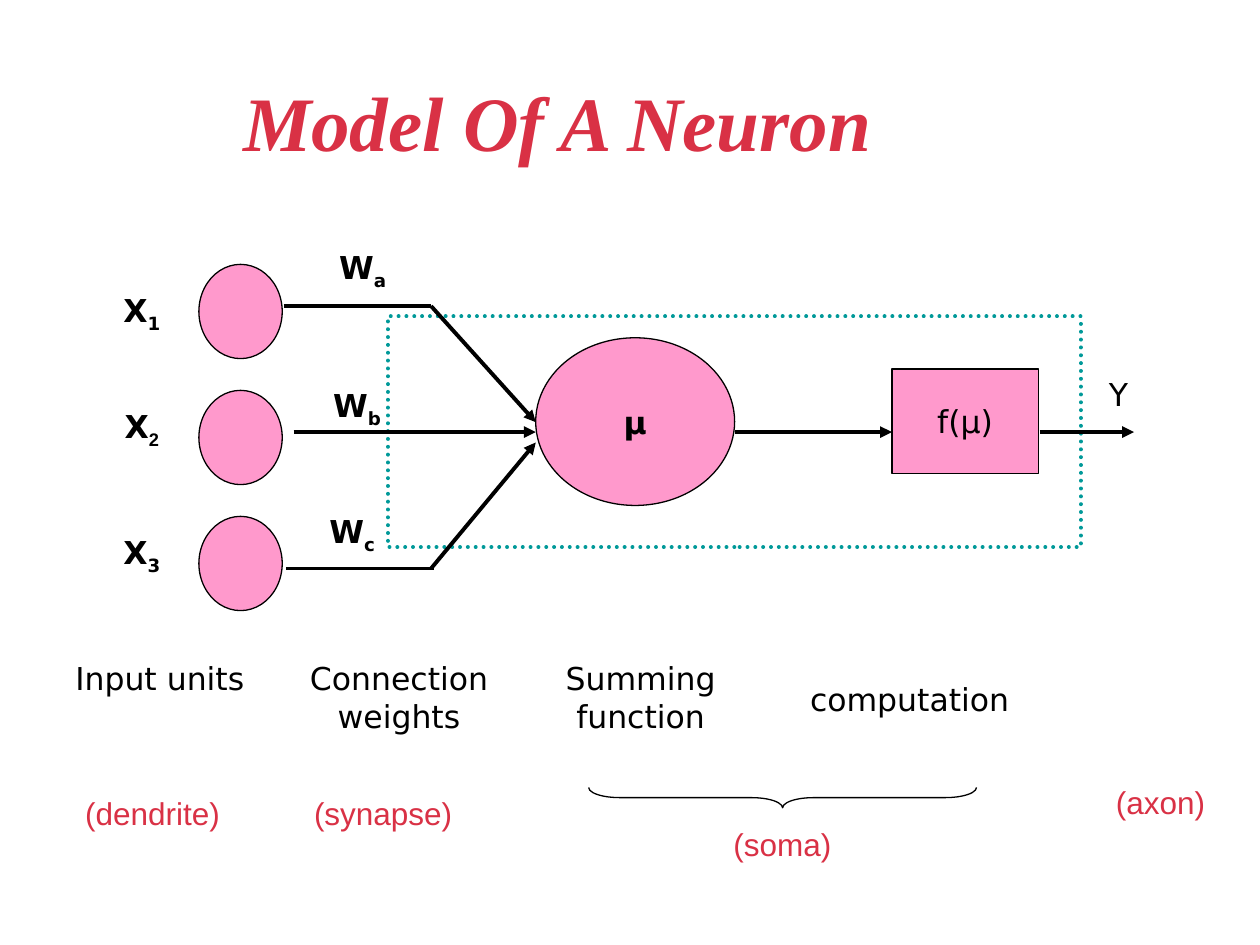
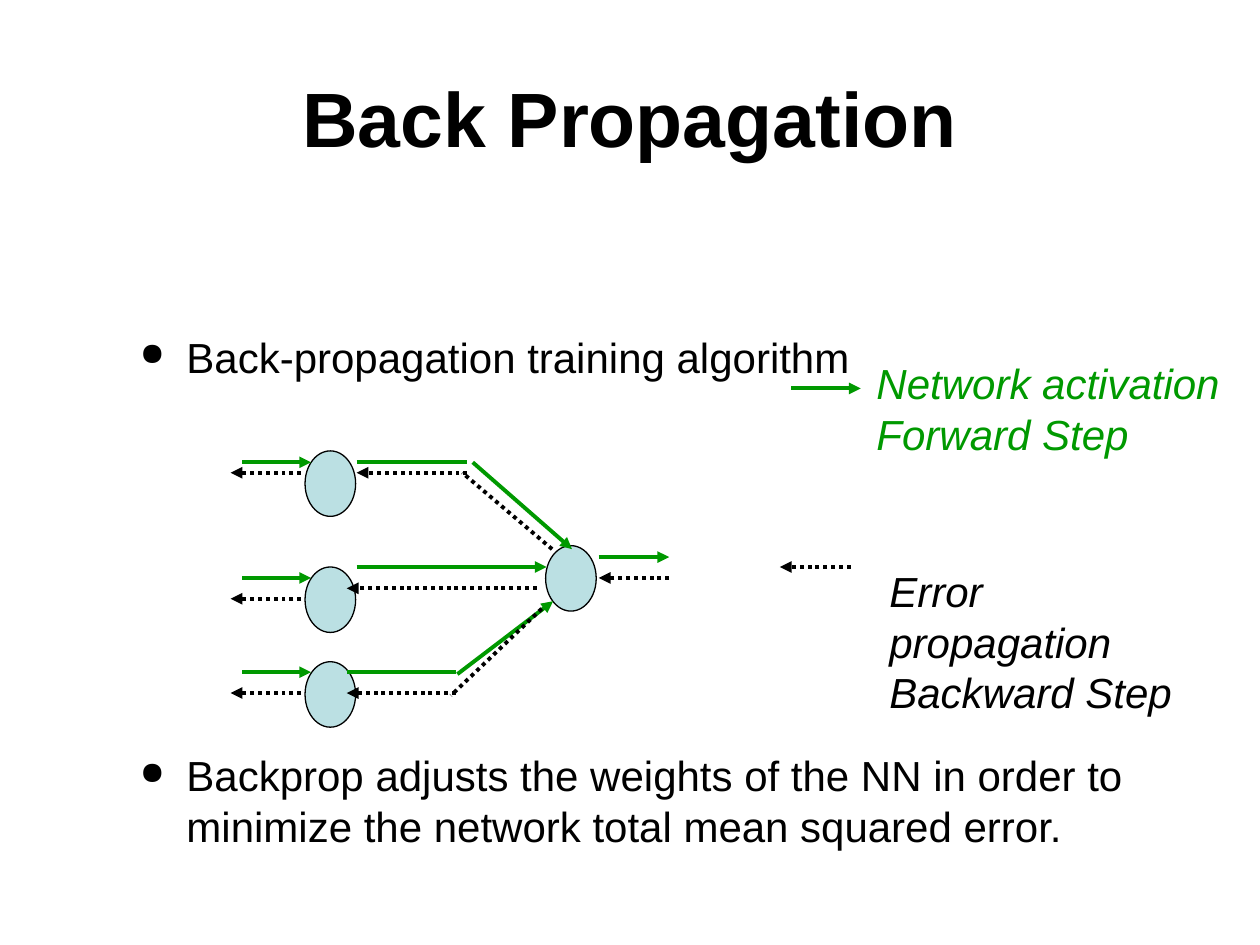
from dataclasses import dataclass

from lxml.etree import SubElement
from pptx import Presentation
from pptx.dml.color import RGBColor
from pptx.enum.dml import MSO_LINE
from pptx.enum.shapes import MSO_CONNECTOR, MSO_SHAPE
from pptx.enum.text import MSO_ANCHOR, PP_ALIGN
from pptx.oxml.ns import qn
from pptx.util import Cm, Pt


@dataclass(frozen=True)
class Theme:
    black: str = "000000"
    red: str = "D93145"
    pink: str = "FF99CC"
    teal: str = "009999"
    green: str = "009900"
    pale_blue: str = "BBE0E3"
    sans: str = "Arial"
    diagram: str = "DejaVu Sans"
    serif: str = "Times New Roman"
    title_size: float = 44
    body_size: float = 24
    label_size: float = 18
    body_leading: float = 28.8
    thin: float = 0.75
    thick: float = 2.25


THEME = Theme()


@dataclass(frozen=True)
class Box:
    """Left, top, width and height in centimetres."""
    left: float
    top: float
    width: float
    height: float

    def lengths(self) -> tuple:
        return tuple(Cm(v) for v in (self.left, self.top, self.width, self.height))


@dataclass(frozen=True)
class Style:
    size: float = THEME.label_size
    font: str = THEME.diagram
    color: str = THEME.black
    bold: bool = False
    italic: bool = False


@dataclass(frozen=True)
class Label:
    box: Box
    text: str
    style: Style = Style()
    subscript: str = ""
    subscript_font: str = THEME.diagram
    align: PP_ALIGN = PP_ALIGN.CENTER


@dataclass(frozen=True)
class Node:
    box: Box
    preset: MSO_SHAPE = MSO_SHAPE.OVAL
    fill: str | None = THEME.pink
    outline: str = THEME.black
    weight: float = THEME.thin
    text: str = ""
    bold: bool = False


@dataclass(frozen=True)
class Link:
    x1: float
    y1: float
    x2: float
    y2: float
    color: str = THEME.black
    arrow: bool = True
    dotted: bool = False


BOLD = Style(bold=True)
BIOLOGY = Style(font=THEME.sans, color=THEME.red)
BODY = Style(THEME.body_size, THEME.sans)


# Shared drawing functions
def apply(target, formats: dict) -> None:
    for name, value in formats.items():
        setattr(target, name, value)


def add_run(paragraph, text: str, style: Style):
    run = paragraph.add_run()
    run.text = text
    apply(run.font, {"size": Pt(style.size), "name": style.font,
                     "bold": style.bold, "italic": style.italic})
    run.font.color.rgb = RGBColor.from_string(style.color)
    return run


def add_frame(slide, box: Box, anchor: MSO_ANCHOR = MSO_ANCHOR.TOP):
    frame = slide.shapes.add_textbox(*box.lengths()).text_frame
    apply(frame, {"word_wrap": True, "vertical_anchor": anchor})
    return frame


def add_title(slide, box: Box, text: str, style: Style, align: PP_ALIGN) -> None:
    paragraph = add_frame(slide, box, MSO_ANCHOR.MIDDLE).paragraphs[0]
    paragraph.alignment = align
    add_run(paragraph, text, style)


def add_label(slide, label: Label) -> None:
    paragraph = add_frame(slide, label.box).paragraphs[0]
    apply(paragraph, {"alignment": label.align, "space_before": Pt(6)})
    add_run(paragraph, label.text, label.style)
    if label.subscript:
        lowered = add_run(paragraph, label.subscript, label.style)
        lowered.font.name = label.subscript_font
        lowered.font._element.set("baseline", "-25000")


def add_lines(slide, box: Box, lines: list[str], style: Style) -> None:
    frame = add_frame(slide, box)
    for index, line in enumerate(lines):
        paragraph = frame.add_paragraph() if index else frame.paragraphs[0]
        paragraph.line_spacing = Pt(THEME.body_leading)
        add_run(paragraph, line, style)


def add_node(slide, node: Node):
    shape = slide.shapes.add_shape(node.preset, *node.box.lengths())
    shape.shadow.inherit = False
    if node.fill:
        shape.fill.solid()
        shape.fill.fore_color.rgb = RGBColor.from_string(node.fill)
    else:
        shape.fill.background()
    shape.line.color.rgb = RGBColor.from_string(node.outline)
    shape.line.width = Pt(node.weight)
    if node.text:
        apply(shape.text_frame, {"word_wrap": False, "vertical_anchor": MSO_ANCHOR.MIDDLE})
        paragraph = shape.text_frame.paragraphs[0]
        paragraph.alignment = PP_ALIGN.CENTER
        add_run(paragraph, node.text, Style(bold=node.bold))
    return shape


def add_link(slide, link: Link) -> None:
    ends = (Cm(v) for v in (link.x1, link.y1, link.x2, link.y2))
    connector = slide.shapes.add_connector(MSO_CONNECTOR.STRAIGHT, *ends)
    connector.line.color.rgb = RGBColor.from_string(link.color)
    connector.line.width = Pt(THEME.thick)
    if link.dotted:
        connector.line.dash_style = MSO_LINE.ROUND_DOT
    properties = connector._element.spPr
    if link.arrow:
        SubElement(properties.find(qn("a:ln")), qn("a:tailEnd"), type="triangle")
    SubElement(properties, qn("a:effectLst"))


def add_bullet(paragraph, text: str, gap: float) -> None:
    apply(paragraph, {"space_before": Pt(gap), "line_spacing": Pt(THEME.body_leading)})
    properties = paragraph._p.get_or_add_pPr()
    properties.set("marL", str(Cm(0.97)))
    properties.set("indent", str(Cm(-0.94)))
    color = SubElement(properties, qn("a:buClr"))
    SubElement(color, qn("a:srgbClr"), val=THEME.black)
    SubElement(properties, qn("a:buSzPct"), val="75000")
    SubElement(properties, qn("a:buChar"), char="●")
    add_run(paragraph, text, BODY)


def build_neuron(slide) -> None:
    add_title(slide, Box(4.65, 0.84, 22.86, 3.18), "Model Of A Neuron",
              Style(THEME.title_size, THEME.serif, THEME.red, True, True), PP_ALIGN.LEFT)

    # Input units, summing unit, activation and soma frame
    for row in range(3):
        add_node(slide, Node(Box(4.01, 5.33 + 2.54 * row, 1.68, 1.9)))
    add_node(slide, Node(Box(10.8, 6.81, 4.01, 3.38), text="μ", bold=True))
    add_node(slide, Node(Box(17.98, 7.44, 2.95, 2.11), MSO_SHAPE.RECTANGLE, text="f(μ)"))
    soma = add_node(slide, Node(Box(7.82, 6.38, 13.97, 4.65), MSO_SHAPE.RECTANGLE,
                                None, THEME.teal, THEME.thick))
    soma.line.dash_style = MSO_LINE.ROUND_DOT
    soma._element.spPr.find(qn("a:ln")).set("cap", "rnd")

    # Signal paths
    axis = 8.71
    for link in (
        Link(5.92, axis, 10.8, axis),
        Link(14.81, axis, 17.98, axis),
        Link(5.72, 6.17, 8.69, 6.17, arrow=False),
        Link(5.77, 11.46, 8.74, 11.46, arrow=False),
        Link(8.69, 11.46, 10.8, 8.92),
        Link(8.69, 6.17, 10.8, 8.51),
        Link(20.96, axis, 22.86, axis),
    ):
        add_link(slide, link)

    # Signal names, captions and biological counterparts
    weights = (("a", 5.72, 4.88), ("b", 5.61, 7.65), ("c", 5.51, 10.19))
    inputs = (("1", 5.74, THEME.diagram), ("2", 8.08, THEME.sans), ("3", 10.62, THEME.diagram))
    biology = (("(dendrite)", 1.07, 15.88), ("(synapse)", 5.72, 15.88),
               ("(axon)", 21.39, 15.67), ("(soma)", 13.77, 16.51))
    labels = [
        Label(Box(20.96, 7.44, 3.18, 1.02), "Y"),
        *(Label(Box(left, top, 3.18, 1.12), "W", BOLD, index) for index, left, top in weights),
        *(Label(Box(1.27, top, 3.18, 1.12), "X", BOLD, index, font)
          for index, top, font in inputs),
        Label(Box(1.27, 13.16, 4.65, 1.02), "Input units", align=PP_ALIGN.LEFT),
        Label(Box(5.72, 13.16, 4.65, 1.78), "Connection weights"),
        Label(Box(10.59, 13.16, 4.65, 1.78), "Summing function"),
        Label(Box(16.08, 13.59, 5.08, 1.02), "computation", align=PP_ALIGN.LEFT),
        *(Label(Box(left, top, 4.01, 1.02), text, BIOLOGY) for text, left, top in biology),
    ]
    for label in labels:
        add_label(slide, label)

    # Brace over the soma
    brace = add_node(slide, Node(Box(15.57, 12.17, 0.41, 7.82), MSO_SHAPE.RIGHT_BRACE, None))
    brace.rotation = 90
    brace.adjustments[0] = 1.54


def build_back_propagation(slide) -> None:
    add_title(slide, Box(1.27, 0.76, 22.86, 3.18), "Back Propagation",
              Style(THEME.title_size, THEME.sans, bold=True), PP_ALIGN.CENTER)

    # Bullets above and below the network
    body = add_frame(slide, Box(2.54, 6.55, 22, 11.63))
    add_bullet(body.paragraphs[0], "Back-propagation training algorithm", 4.8)
    add_bullet(body.add_paragraph(), "Backprop adjusts the weights of the NN in order to "
               "minimize the network total mean squared error.", 210.5)

    # Network units
    for left, top in ((6.15, 9.09), (6.15, 11.43), (6.15, 13.34), (11, 11)):
        add_node(slide, Node(Box(left, top, 1.02, 1.32), fill=THEME.pale_blue))

    # Forward and backward steps: ends and arrowhead
    forward = (
        *((4.88, y, 6.27, y, True) for y in (9.32, 11.65, 13.55)),
        (7.19, 9.32, 9.42, 9.32, False),
        (6.99, 13.55, 9.19, 13.55, False),
        (9.22, 13.59, 11.15, 12.12, True),
        (7.19, 11.43, 11.02, 11.43, True),
        (9.53, 9.32, 11.53, 11.07, True),
        (12.07, 11.23, 13.49, 11.23, True),
        (15.95, 7.83, 17.35, 7.83, True),
    )
    backward = (
        *((6.07, y, 4.65, y, True) for y in (9.53, 12.07, 13.97)),
        (13.49, 11.65, 12.07, 11.65, True),
        (10.92, 12.27, 9.09, 14.02, False),
        (10.82, 11.86, 6.99, 11.86, True),
        (9.19, 13.97, 6.99, 13.97, True),
        (11.13, 11.07, 9.32, 9.53, False),
        (9.42, 9.53, 7.19, 9.53, True),
        (17.15, 11.43, 15.72, 11.43, True),
    )
    for steps, color, dotted in ((forward, THEME.green, False), (backward, THEME.black, True)):
        for *ends, arrow in steps:
            add_link(slide, Link(*ends, color, arrow, dotted))

    # Legend
    add_lines(slide, Box(17.42, 7.09, 7.47, 2.29), ["Network activation", "Forward Step"],
              Style(THEME.body_size, THEME.sans, THEME.green, italic=True))
    add_lines(slide, Box(17.68, 11.28, 6.86, 3.56), ["Error propagation", "Backward Step"],
              Style(THEME.body_size, THEME.sans, italic=True))


def main() -> None:
    deck = Presentation()
    apply(deck, {"slide_width": Cm(25.4), "slide_height": Cm(19.05)})
    blank = deck.slide_layouts[6]
    for build in (build_neuron, build_back_propagation):
        build(deck.slides.add_slide(blank))
    deck.save("out.pptx")


if __name__ == "__main__":
    main()
